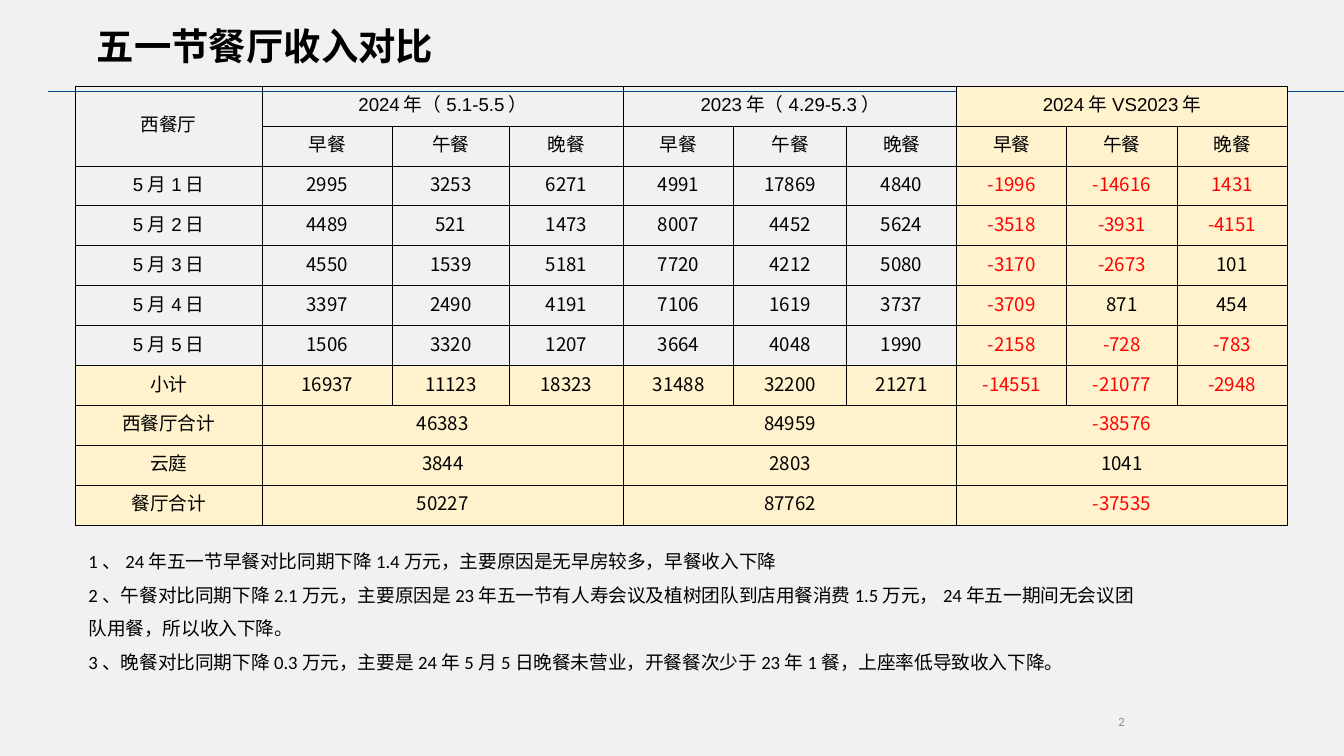
from dataclasses import dataclass

from lxml import etree
from pptx import Presentation
from pptx.dml.color import RGBColor
from pptx.enum.shapes import MSO_CONNECTOR
from pptx.enum.text import MSO_ANCHOR, PP_ALIGN
from pptx.oxml.ns import qn
from pptx.util import Inches, Pt

LEFT, CENTER, RIGHT = PP_ALIGN.LEFT, PP_ALIGN.CENTER, PP_ALIGN.RIGHT
TOP, MIDDLE = MSO_ANCHOR.TOP, MSO_ANCHOR.MIDDLE
STRAIGHT = MSO_CONNECTOR.STRAIGHT

TITLE = "五一节餐厅收入对比"
MEALS = ["早餐", "午餐", "晚餐"]
GROUPS = ["2024年（5.1-5.5）", "2023年（4.29-5.3）", "2024年VS2023年"]
DAYS = """
5月1日 2995 3253 6271 4991 17869 4840 -1996 -14616 1431
5月2日 4489 521 1473 8007 4452 5624 -3518 -3931 -4151
5月3日 4550 1539 5181 7720 4212 5080 -3170 -2673 101
5月4日 3397 2490 4191 7106 1619 3737 -3709 871 454
5月5日 1506 3320 1207 3664 4048 1990 -2158 -728 -783
小计 16937 11123 18323 31488 32200 21271 -14551 -21077 -2948
"""
TOTALS = """
西餐厅合计 46383 84959 -38576
云庭 3844 2803 1041
餐厅合计 50227 87762 -37535
"""
NOTES = [
    "1、24年五一节早餐对比同期下降1.4万元，主要原因是无早房较多，早餐收入下降",
    "2、午餐对比同期下降2.1万元，主要原因是23年五一节有人寿会议及植树团队到店用餐消费1.5万元，"
    "24年五一期间无会议团队用餐，所以收入下降。",
    "3、晚餐对比同期下降0.3万元，主要是24年5月5日晚餐未营业，开餐餐次少于23年1餐，"
    "上座率低导致收入下降。",
]
WIDTHS = [1.39, 0.97, 0.87, 0.85, 0.82, 0.84, 0.82, 0.82, 0.82, 0.82]
FLAGGED = {(2, 9)}


@dataclass(frozen=True)
class Theme:
    """Colours, fonts and type sizes of the slide."""
    back: str = "F1F1F1"
    ink: str = "000000"
    rule: str = "004083"
    loss: str = "FF0000"
    cream: str = "FFF2CC"
    gray: str = "8C8C8C"
    text: str = "Calibri"
    label: str = "Arial"
    value: str = "Noto Sans CJK SC"
    head: float = 20
    body: float = 10
    small: float = 6.8


class Page:
    """Holds the theme and the current slide."""

    def __init__(self, deck, theme):
        self.theme = theme
        self.slide = deck.slides.add_slide(deck.slide_layouts[5])
        fill = self.slide.background.fill
        fill.solid()
        fill.fore_color.rgb = RGBColor.from_string(theme.back)

    def add_run(self, para, text, size, face, color, bold=False):
        """Add one styled run to a paragraph."""
        run = para.add_run()
        run.text = text
        font = run.font
        font.size, font.name, font.bold = Pt(size), face, bold
        font.color.rgb = RGBColor.from_string(color)
        east = etree.SubElement(run._r.get_or_add_rPr(), qn("a:ea"))
        east.set("typeface", self.theme.value)

    def title(self, text, box):
        """Place and style the title."""
        shape = self.slide.shapes.title
        shape.left, shape.top, shape.width, shape.height = map(Inches, box)
        frame = shape.text_frame
        frame.vertical_anchor, frame.word_wrap = TOP, True
        para = frame.paragraphs[0]
        para.alignment = LEFT
        self.add_run(para, text, self.theme.head, self.theme.text, self.theme.ink, True)

    def rule(self, left, top, right):
        """Draw a thin level line."""
        line = self.slide.shapes.add_connector(
            STRAIGHT, Inches(left), Inches(top), Inches(right), Inches(top))
        line.line.color.rgb = RGBColor.from_string(self.theme.rule)
        line.line.width = Pt(0.6)
        etree.SubElement(line._element.spPr, qn("a:effectLst"))

    def text(self, lines, box, size, color, align=LEFT, space=1.0):
        """Add a wrapped text box and return its frame."""
        frame = self.slide.shapes.add_textbox(*map(Inches, box)).text_frame
        frame.word_wrap = True
        for index, line in enumerate(lines):
            para = frame.add_paragraph() if index else frame.paragraphs[0]
            para.alignment, para.line_spacing = align, space
            self.add_run(para, line, size, self.theme.text, color)
        return frame

    def number(self, text, box):
        """Add the page number."""
        frame = self.text([text], box, self.theme.small, self.theme.gray, RIGHT)
        frame.vertical_anchor = MIDDLE
        frame.margin_left = frame.margin_right = 0
        frame.margin_top = frame.margin_bottom = 0

    def cell(self, cell, text, face, color, tint):
        """Style one table cell and fill in its text."""
        cell.margin_left = cell.margin_top = cell.margin_right = Inches(0.01)
        cell.margin_bottom = Inches(0.05)
        cell.vertical_anchor = MIDDLE
        props = cell._tc.get_or_add_tcPr()
        for side in ("lnL", "lnR", "lnT", "lnB"):
            edge = etree.SubElement(props, qn(f"a:{side}"), w=str(Pt(0.5)))
            paint = etree.SubElement(edge, qn("a:solidFill"))
            etree.SubElement(paint, qn("a:srgbClr"), val=self.theme.ink)
        if tint:
            cell.fill.solid()
            cell.fill.fore_color.rgb = RGBColor.from_string(self.theme.cream)
        else:
            cell.fill.background()
        para = cell.text_frame.paragraphs[0]
        para.alignment = CENTER
        para.font.size = Pt(self.theme.body)
        if text:
            self.add_run(para, text, self.theme.body, face, color)

    def table(self, rows, widths, box):
        """Add the income table with its merged groups."""
        theme = self.theme
        grid = self.slide.shapes.add_table(
            len(rows), len(widths), *map(Inches, box)).table
        grid.first_row = grid.horz_banding = False
        for col, width in zip(grid.columns, widths):
            col.width = Inches(width)
        for r, row in enumerate(rows):
            grid.rows[r].height = Inches(box[3] / len(rows))
            for c, text in enumerate(row):
                loss = text.startswith("-") or (r, c) in FLAGGED
                self.cell(grid.cell(r, c), text,
                          theme.label if r < 2 or c == 0 else theme.value,
                          theme.loss if loss else theme.ink, r > 6 or c > 6)
        grid.cell(0, 0).merge(grid.cell(1, 0))
        for r in (0, 8, 9, 10):
            for c in (1, 4, 7):
                grid.cell(r, c).merge(grid.cell(r, c + 2))


def spread(label, values):
    """Put each value at the start of a three-column group."""
    return [label] + [text for value in values for text in (value, "", "")]


def main():
    """Build the slide and save it."""
    theme = Theme()
    deck = Presentation()
    deck.slide_width, deck.slide_height = Inches(10), Inches(10 * 9 / 16)
    page = Page(deck, theme)
    page.rule(0.36, 0.68, 10)
    page.number("2", (6.07, 5.27, 2.3, 0.19))
    page.text(NOTES, (0.56, 3.96, 8.08, 1.25), theme.body, theme.ink, space=1.5)
    page.title(TITLE, (0.62, 0.12, 2.82, 0.61))
    rows = [spread("西餐厅", GROUPS), [""] + MEALS * 3]
    rows += [line.split() for line in DAYS.strip().splitlines()]
    for line in TOTALS.strip().splitlines():
        label, *values = line.split()
        rows.append(spread(label, values))
    page.table(rows, WIDTHS, (0.56, 0.64, 9.01, 3.27))
    deck.save("out.pptx")


if __name__ == "__main__":
    main()
